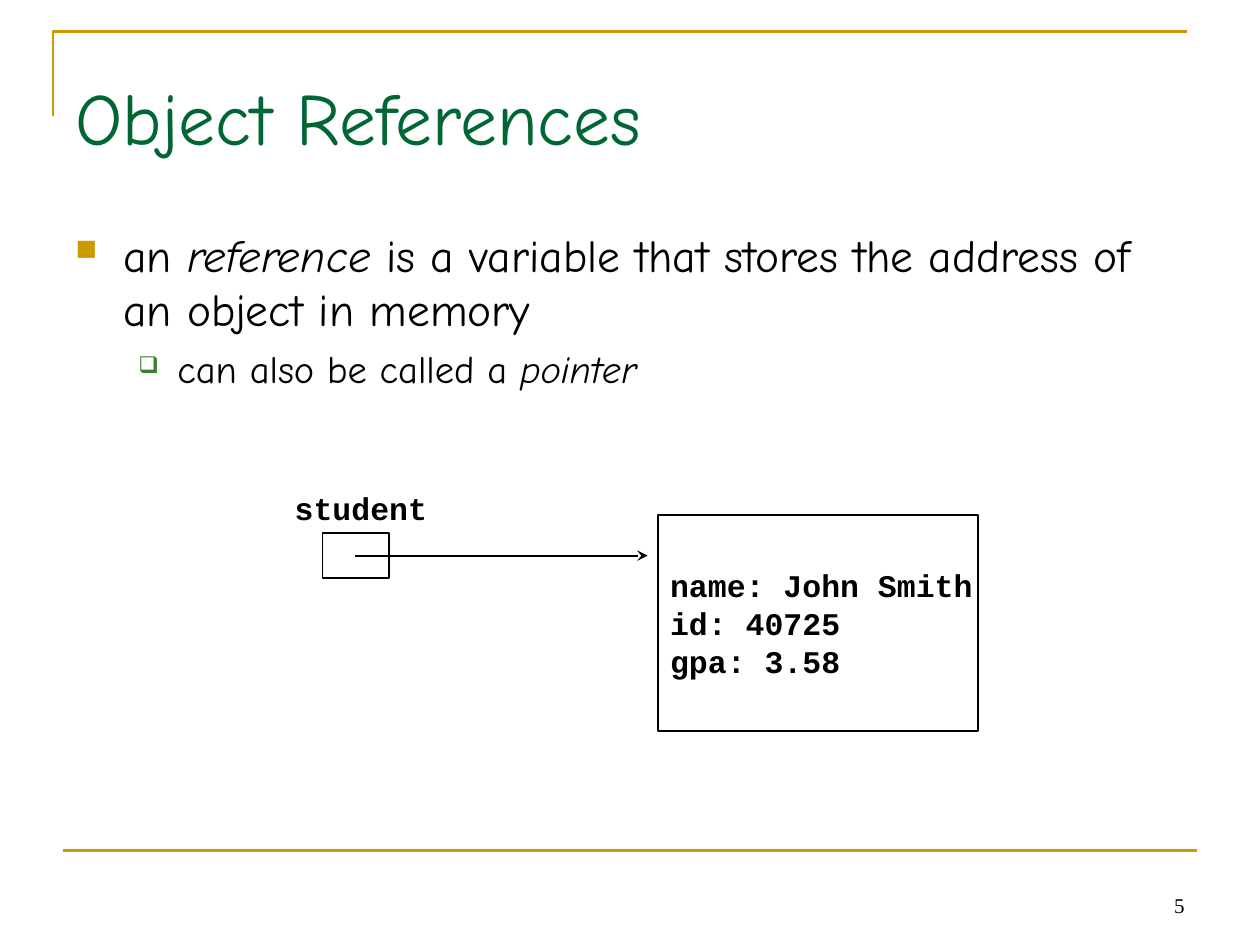
from pptx import Presentation
from pptx.dml.color import RGBColor
from pptx.enum.shapes import MSO_CONNECTOR, MSO_SHAPE
from pptx.enum.text import MSO_ANCHOR as ANCHOR, MSO_AUTO_SIZE as AUTO, PP_ALIGN as ALIGN
from pptx.oxml.ns import qn
from pptx.util import Pt
from lxml.etree import SubElement as Sub

PX = 9144  # 100 px to the inch
COLORS = {"gold": "CC9900", "green": "006633", "leaf": "3B812F", "black": "000000"}
BODY, CODE, NUMBER = "Comic Neue", "Courier New", "Times New Roman"


def emu(*px):
    return [v * PX for v in px]


def rgb(name):
    return RGBColor.from_string(COLORS[name])


class Deck:
    def __init__(self, width, height):
        self.prs = Presentation()
        self.prs.slide_width, self.prs.slide_height = emu(width, height)
        self.s = self.prs.slides.add_slide(self.prs.slide_layouts[6])

    def stroke(self, shape, color, weight):
        shape.line.color.rgb = rgb(color)
        shape.line.width = Pt(weight)

    def line(self, start, end, color="black", weight=1, arrow=None):
        c = self.s.shapes.add_connector(MSO_CONNECTOR.STRAIGHT, *emu(*start, *end))
        self.stroke(c, color, weight)
        if arrow:
            Sub(c.line._get_or_add_ln(), qn("a:tailEnd"), type=arrow)
        Sub(c._element.spPr, qn("a:effectLst"))

    def polyline(self, points, color, weight):
        start, *rest = points
        fb = self.s.shapes.build_freeform(*start, scale=PX)
        fb.add_line_segments(rest, close=False)
        sp = fb.convert_to_shape()
        sp.shadow.inherit = False
        sp.fill.background()
        self.stroke(sp, color, weight)

    def box(self, *rect):
        sp = self.s.shapes.add_shape(MSO_SHAPE.RECTANGLE, *emu(*rect))
        sp.shadow.inherit = False
        sp.fill.background()
        self.stroke(sp, "black", 1)
        return sp

    def text_box(self, *rect, anchor=ANCHOR.TOP, wrap=True):
        tf = self.s.shapes.add_textbox(*emu(*rect)).text_frame
        tf.word_wrap = wrap
        tf.vertical_anchor = anchor
        return tf

    def paragraph(self, tf, *runs, size, font, color="black", bold=False,
                  align=ALIGN.LEFT, before=0, bullet=None):
        """Add a paragraph; a run in a tuple is italic."""
        first = tf.paragraphs[0]
        p = tf.add_paragraph() if first.runs else first
        p.alignment = align
        if bullet:
            self.bullet(p, *bullet)
        if before:
            p.space_before = Pt(before)
        for run in runs:
            italic = isinstance(run, tuple)
            r = p.add_run()
            r.text = run[0] if italic else run
            f = r.font
            f.name, f.size, f.bold, f.italic = font, Pt(size), bold, italic
            f.color.rgb = rgb(color)

    def bullet(self, p, char, color, percent, left, hang):
        pPr = p._p.get_or_add_pPr()
        pPr.set("marL", str(left * PX))
        pPr.set("indent", str(-hang * PX))
        Sub(Sub(pPr, qn("a:buClr")), qn("a:srgbClr"), val=COLORS[color])
        Sub(pPr, qn("a:buSzPct"), val=str(percent * 1000))
        Sub(pPr, qn("a:buChar"), char=char)


def main():
    d = Deck(1000, 750)
    d.polyline([(42, 92), (42, 25), (942, 25)], "gold", 1.5)
    d.line((50, 675), (950, 675), "gold", 1.5)

    number = d.text_box(717, 683, 233, 50, anchor=ANCHOR.BOTTOM)
    d.paragraph(number, "5", size=12, font=NUMBER, align=ALIGN.RIGHT)
    title = d.text_box(50, 30, 900, 125, anchor=ANCHOR.MIDDLE)
    d.paragraph(title, "Object References", size=42, font=BODY, color="green")

    body = d.text_box(50, 175, 900, 495)
    d.paragraph(body, "an ", ("reference",),
                " is a variable that stores the address of an object in memory",
                size=26, font=BODY, bullet=("■", "gold", 65, 38, 38))
    d.paragraph(body, "can also be called a ", ("pointer",), size=22, font=BODY,
                before=5.5, bullet=("❑", "leaf", 60, 81, 31))

    code = dict(size=18, font=CODE, bold=True)
    d.box(256, 423, 53, 36)
    label = d.text_box(224, 383, 125, 40, wrap=False)
    label.auto_size = AUTO.SHAPE_TO_FIT_TEXT
    d.paragraph(label, "student", **code)

    fields = d.box(522, 409, 254, 171).text_frame
    fields.word_wrap = False
    fields.vertical_anchor = ANCHOR.MIDDLE
    for field in ("name: John Smith", "id: 40725", "gpa: 3.58"):
        d.paragraph(fields, field, **code)
    d.line((282, 441), (514, 441), arrow="stealth")

    d.prs.save("out.pptx")


if __name__ == "__main__":
    main()
